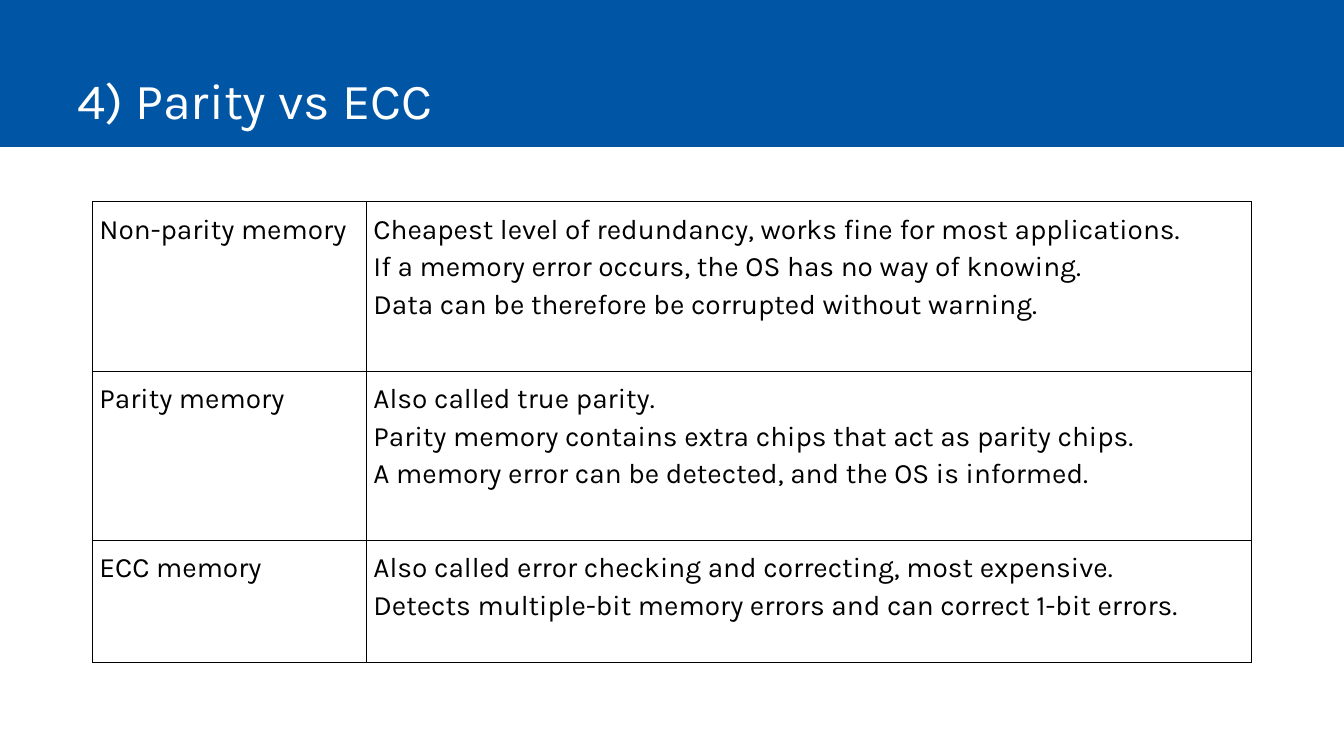
from dataclasses import dataclass

from lxml.etree import SubElement
from pptx import Presentation
from pptx.dml.color import RGBColor
from pptx.enum.shapes import MSO_SHAPE as Preset
from pptx.enum.text import MSO_ANCHOR as Anchor, MSO_AUTO_SIZE as AutoSize, PP_ALIGN as Align
from pptx.oxml.ns import qn
from pptx.slide import Slide
from pptx.table import _Cell as Cell
from pptx.text.text import TextFrame
from pptx.util import Pt

BLUE = RGBColor(0x00, 0x55, 0xA4)
WHITE = RGBColor(0xFF, 0xFF, 0xFF)
BLACK = RGBColor(0x00, 0x00, 0x00)
FONT = "Karla"
PAGE_WIDTH, PAGE_HEIGHT = 960, 540
COLUMN_WIDTHS = (195.8, 632.2)
CELL_MARGIN = 5
BORDER_WIDTH = 0.75


@dataclass(frozen=True)
class MemoryType:
    name: str
    facts: tuple[str, ...]
    height: float


MEMORY_TYPES = (
    MemoryType("Non-parity memory", (
        "Cheapest level of redundancy, works fine for most applications.",
        "If a memory error occurs, the OS has no way of knowing.",
        "Data can be therefore be corrupted without warning.",
    ), 121),
    MemoryType("Parity memory", (
        "Also called true parity.",
        "Parity memory contains extra chips that act as parity chips.",
        "A memory error can be detected, and the OS is informed.",
    ), 121),
    MemoryType("ECC memory", (
        "Also called error checking and correcting, most expensive.",
        "Detects multiple-bit memory errors and can correct 1-bit errors.",
    ), 87),
)


def format_text(frame: TextFrame, size: float, color: RGBColor, spacing: float) -> None:
    for para in frame.paragraphs:
        para.alignment = Align.LEFT
        para.line_spacing = spacing
        for span in para.runs:
            span.font.name = FONT
            span.font.size = Pt(size)
            span.font.color.rgb = color


def add_header(page: Slide, text: str) -> None:
    title = page.shapes.title
    band = page.shapes.add_shape(Preset.RECTANGLE, Pt(0), Pt(0), Pt(PAGE_WIDTH), Pt(105))
    band.shadow.inherit = False
    band.fill.solid()
    band.fill.fore_color.rgb = BLUE
    band.line.fill.background()
    title.element.addprevious(band.element)

    title.left, title.top, title.width, title.height = Pt(48), Pt(0), Pt(846), Pt(96.5)
    frame = title.text_frame
    frame.text = text
    frame.word_wrap = True
    frame.auto_size = AutoSize.NONE
    frame.vertical_anchor = Anchor.BOTTOM
    frame.margin_left = frame.margin_right = Pt(7.2)
    frame.margin_top = frame.margin_bottom = Pt(3.6)
    format_text(frame, 36, WHITE, 1.0)


def add_borders(cell: Cell) -> None:
    properties = cell._tc.get_or_add_tcPr()
    for side in ("a:lnL", "a:lnR", "a:lnT", "a:lnB"):
        line = SubElement(properties, qn(side), w=str(Pt(BORDER_WIDTH)))
        fill = SubElement(line, qn("a:solidFill"))
        SubElement(fill, qn("a:srgbClr"), val=str(BLACK))


def fill_cell(cell: Cell, text: str) -> None:
    add_borders(cell)
    cell.fill.background()
    cell.margin_left = cell.margin_right = Pt(CELL_MARGIN)
    cell.margin_top = cell.margin_bottom = Pt(CELL_MARGIN)
    cell.vertical_anchor = Anchor.TOP
    cell.text_frame.text = text
    format_text(cell.text_frame, 20, BLACK, 1.15)


def add_comparison(page: Slide, kinds: tuple[MemoryType, ...]) -> None:
    box = page.shapes.add_table(
        len(kinds), len(COLUMN_WIDTHS), Pt(66), Pt(144),
        Pt(sum(COLUMN_WIDTHS)), Pt(sum(kind.height for kind in kinds)),
    )
    table = box.table
    table.first_row = table.horz_banding = False
    for column, width in zip(table.columns, COLUMN_WIDTHS):
        column.width = Pt(width)
    for row, kind in zip(table.rows, kinds):
        row.height = Pt(kind.height)
        for cell, text in zip(row.cells, (kind.name, "\n".join(kind.facts))):
            fill_cell(cell, text)


def main() -> None:
    deck = Presentation()
    deck.slide_width, deck.slide_height = Pt(PAGE_WIDTH), Pt(PAGE_HEIGHT)
    page = deck.slides.add_slide(deck.slide_layouts.get_by_name("Title Only"))
    page.background.fill.solid()
    page.background.fill.fore_color.rgb = WHITE
    add_header(page, "4) Parity vs ECC")
    add_comparison(page, MEMORY_TYPES)
    deck.save("out.pptx")


if __name__ == "__main__":
    main()
